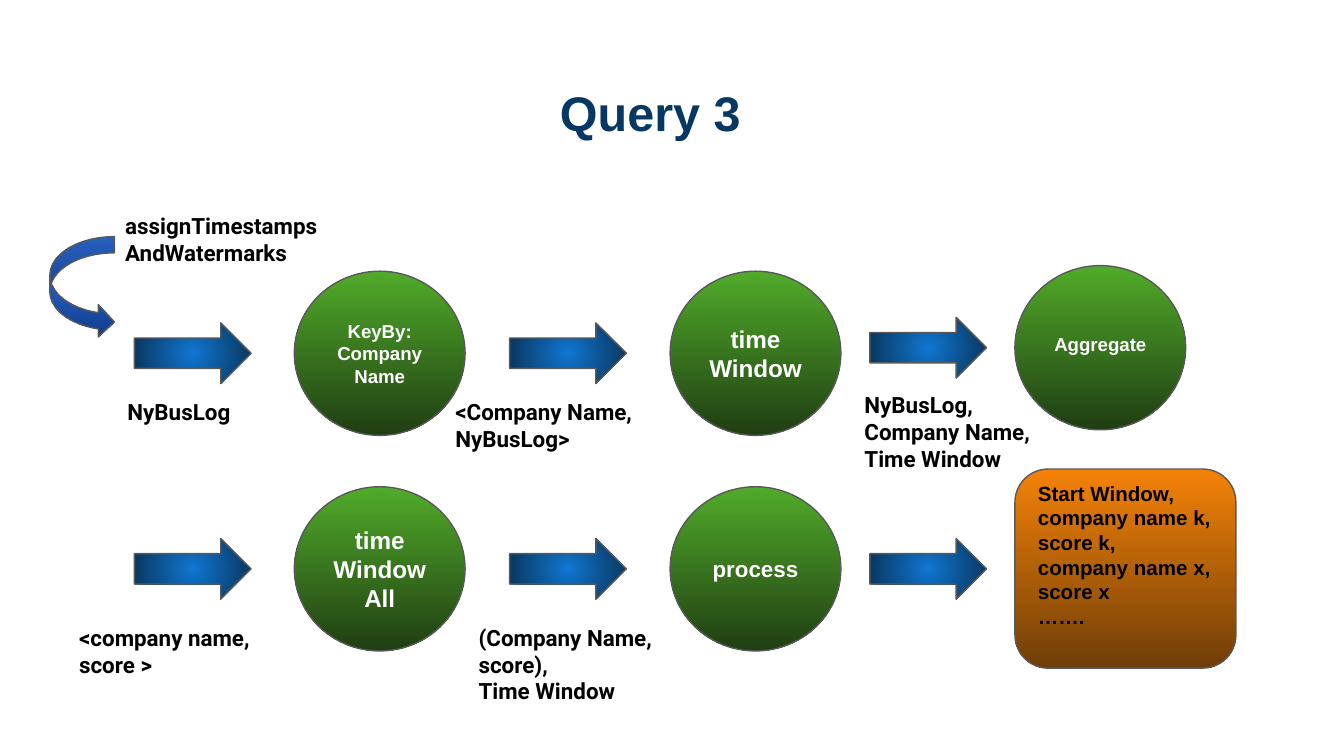
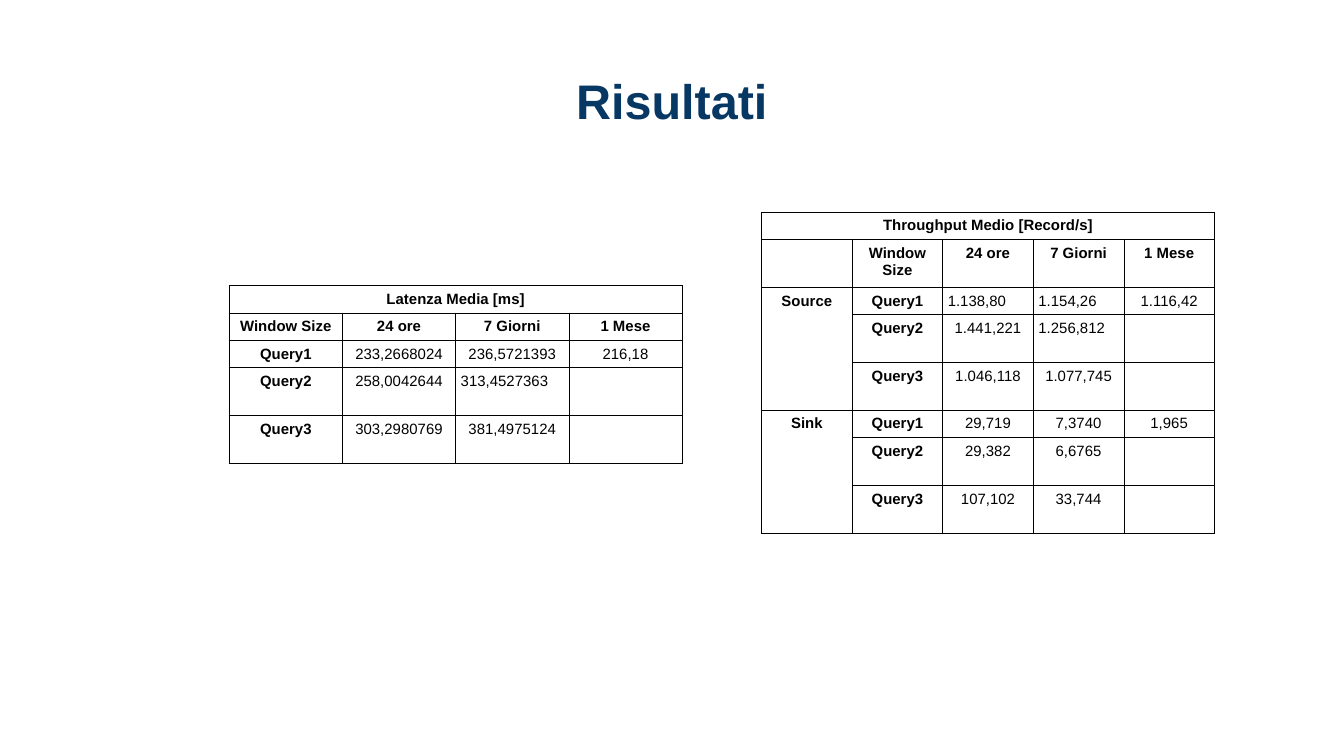
from lxml.etree import SubElement
from pptx import Presentation
from pptx.dml.color import RGBColor
from pptx.enum.shapes import MSO_SHAPE
from pptx.enum.text import MSO_ANCHOR, MSO_AUTO_SIZE, PP_ALIGN
from pptx.oxml.ns import qn
from pptx.util import Pt

NAVY = RGBColor(0x07, 0x37, 0x63)
BLACK = RGBColor(0, 0, 0)
WHITE = RGBColor(255, 255, 255)
GREY = RGBColor(0x59, 0x59, 0x59)
GREEN = RGBColor(0x51, 0xAB, 0x2A), RGBColor(0x20, 0x3E, 0x13)
BLUE = RGBColor(0x10, 0x77, 0xD2), RGBColor(0x09, 0x31, 0x53)
ROYAL = RGBColor(0x31, 0x77, 0xEE), RGBColor(0x11, 0x3D, 0x8A)
ORANGE = RGBColor(0xF4, 0x82, 0x08), RGBColor(0x70, 0x3E, 0x08)

PAD = 7.2
TABLE_WIDTH = 242.7
LOW, HIGH = 14.67, 25.6
LEFT_CELLS = {"313,4527363", "1.138,80", "1.154,26", "1.256,812"}


class Deck:
    def __init__(self):
        self.prs = Presentation()
        self.prs.slide_width, self.prs.slide_height = Pt(720), Pt(405)
        self.slide = None

    def start(self, title, x, y, w, h):
        """Add a slide and place its title."""
        self.slide = self.prs.slides.add_slide(self.prs.slide_layouts[0])
        sub = self.slide.placeholders[1]._element
        sub.getparent().remove(sub)
        head = self.slide.shapes.title
        head.left, head.top, head.width, head.height = map(Pt, (x, y, w, h))
        self.fill_text(head, title, 26, NAVY, align=PP_ALIGN.CENTER, top=10.2)

    def fill_text(self, shape, text, size, color, font="Arial",
                  align=PP_ALIGN.LEFT, anchor=MSO_ANCHOR.TOP, top=PAD, bottom=PAD):
        frame = shape.text_frame
        frame.text = text
        frame.word_wrap = True
        frame.auto_size = MSO_AUTO_SIZE.NONE
        frame.vertical_anchor = anchor
        frame.margin_left = frame.margin_right = Pt(PAD)
        frame.margin_top, frame.margin_bottom = Pt(top), Pt(bottom)
        for para in frame.paragraphs:
            self.style(para, size, color, font, align)

    def style(self, para, size, color, font="Arial", align=PP_ALIGN.CENTER,
              bold=True):
        para.alignment = align
        for run in para.runs:
            run.font.size, run.font.name, run.font.bold = Pt(size), font, bold
            run.font.color.rgb = color

    def label(self, text, x, y, w, h):
        box = self.slide.shapes.add_textbox(Pt(x), Pt(y), Pt(w), Pt(h))
        self.fill_text(box, text, 12, BLACK, font="Roboto")

    def shape(self, kind, x, y, w, h, shades, radial=False):
        """Add a preset shape with a two-colour gradient."""
        item = self.slide.shapes.add_shape(kind, Pt(x), Pt(y), Pt(w), Pt(h))
        item.shadow.inherit = False
        item.line.color.rgb, item.line.width = GREY, Pt(0.75)
        item.fill.gradient()
        item.fill.gradient_angle = 270
        for stop, shade, place in zip(item.fill.gradient_stops, shades, (0, 1)):
            stop.color.rgb, stop.position = shade, place
        if radial:
            grad = item._element.spPr.find(qn("a:gradFill"))
            grad.remove(grad.find(qn("a:lin")))
            ring = SubElement(grad, qn("a:path"), path="circle")
            SubElement(ring, qn("a:fillToRect"),
                       {side: "50000" for side in "ltrb"})
        return item

    def arrow(self, x, y):
        self.shape(MSO_SHAPE.RIGHT_ARROW, x, y, 62.5, 32.5, BLUE, radial=True)

    def circle(self, text, size, x, y, bottom=PAD):
        disc = self.shape(MSO_SHAPE.OVAL, x, y, 91.5, 88, GREEN)
        self.fill_text(disc, text, size, WHITE, align=PP_ALIGN.CENTER,
                       anchor=MSO_ANCHOR.MIDDLE, bottom=bottom)

    def table(self, x, y, rows, heights, spans):
        """Add a ruled table; spans holds (row, col, last row, last col)."""
        count = len(rows[0])
        grid = self.slide.shapes.add_table(
            len(rows), count, Pt(x), Pt(y), Pt(TABLE_WIDTH), Pt(sum(heights))).table
        grid.first_row = grid.horz_banding = False
        for col in grid.columns:
            col.width = Pt(TABLE_WIDTH / count)
        for r, (row, high) in enumerate(zip(rows, heights)):
            grid.rows[r].height = Pt(high)
            for c, text in enumerate(row):
                self.cell(grid.cell(r, c), text)
        for top, left, low, right in spans:
            grid.cell(top, left).merge(grid.cell(low, right))

    def cell(self, cell, text):
        cell.margin_left = cell.margin_right = Pt(2.7)
        cell.margin_top = cell.margin_bottom = Pt(2.7)
        cell.fill.background()
        self.rule(cell)
        para = cell.text_frame.paragraphs[0]
        if text:
            para.text = text
            align = PP_ALIGN.LEFT if text in LEFT_CELLS else PP_ALIGN.CENTER
            self.style(para, 8, BLACK, align=align, bold="," not in text)
        else:
            SubElement(para._p, qn("a:endParaRPr"), sz="800")

    def rule(self, cell):
        """Draw thin black borders around a cell."""
        props = cell._tc.get_or_add_tcPr()
        for i, side in enumerate("LRTB"):
            line = SubElement(props, qn(f"a:ln{side}"), w=str(Pt(0.5)))
            fill = SubElement(line, qn("a:solidFill"))
            SubElement(fill, qn("a:srgbClr"), val=str(BLACK))
            props.insert(i, line)


def flow(deck):
    deck.start("Query 3", 42.5, 34.5, 612, 42)
    for x, y in ((72, 173), (273, 173), (466, 170),
                 (72, 288.5), (273, 288.5), (466, 288.5)):
        deck.arrow(x, y)
    deck.circle("KeyBy:\nCompany\nName", 10, 157.7, 145.3)
    deck.circle("time\nWindow", 13, 359, 145.3)
    deck.circle("Aggregate", 10, 543.7, 142.3, bottom=11.5)
    deck.circle("time\nWindowAll", 13, 157.7, 260.8)
    deck.circle("process", 12, 359, 260.8)

    for spot in (
        ("NyBusLog", 61.2, 206, 83.5, 28),
        ("<Company Name,\nNyBusLog>", 236.8, 206, 135.4, 28),
        ("NyBusLog,\nCompany Name,\nTime Window", 456, 202.5, 109.5, 60),
        ("<company name,\nscore >", 35.3, 327, 135.4, 42.5),
        ("(Company Name,\nscore),\nTime Window", 249.3, 327, 135.4, 42.5),
        ("assignTimestamps\nAndWatermarks", 60, 106.7, 126.7, 60),
    ):
        deck.label(*spot)

    result = deck.shape(MSO_SHAPE.ROUNDED_RECTANGLE, 543.7, 251.3, 118.4, 106.7,
                        ORANGE)
    deck.fill_text(result, "Start Window,\ncompany name k, score k,\n"
                   "company name x,\nscore x\n…….", 11, BLACK,
                   anchor=MSO_ANCHOR.MIDDLE, top=0, bottom=15)
    deck.shape(MSO_SHAPE.CURVED_RIGHT_ARROW, 26.7, 126.8, 34.6, 54.4, ROYAL)


def results(deck):
    deck.start("Risultati", 154.8, 28, 410.4, 74)
    spans = ["24 ore", "7 Giorni", "1 Mese"]
    deck.table(122.8, 153, [
        ["Latenza Media [ms]", "", "", ""],
        ["Window Size", *spans],
        ["Query1", "233,2668024", "236,5721393", "216,18"],
        ["Query2", "258,0042644", "313,4527363", ""],
        ["Query3", "303,2980769", "381,4975124", ""],
    ], [LOW] * 3 + [HIGH] * 2, [(0, 0, 0, 3)])
    deck.table(408, 113.7, [
        ["Throughput Medio [Record/s]", "", "", "", ""],
        ["", "Window Size", *spans],
        ["Source", "Query1", "1.138,80", "1.154,26", "1.116,42"],
        ["", "Query2", "1.441,221", "1.256,812", ""],
        ["", "Query3", "1.046,118", "1.077,745", ""],
        ["Sink", "Query1", "29,719", "7,3740", "1,965"],
        ["", "Query2", "29,382", "6,6765", ""],
        ["", "Query3", "107,102", "33,744", ""],
    ], [LOW, HIGH] + [LOW, HIGH, HIGH] * 2,
        [(0, 0, 0, 4), (2, 0, 4, 0), (5, 0, 7, 0)])


def main():
    deck = Deck()
    flow(deck)
    results(deck)
    deck.prs.save("out.pptx")


if __name__ == "__main__":
    main()
